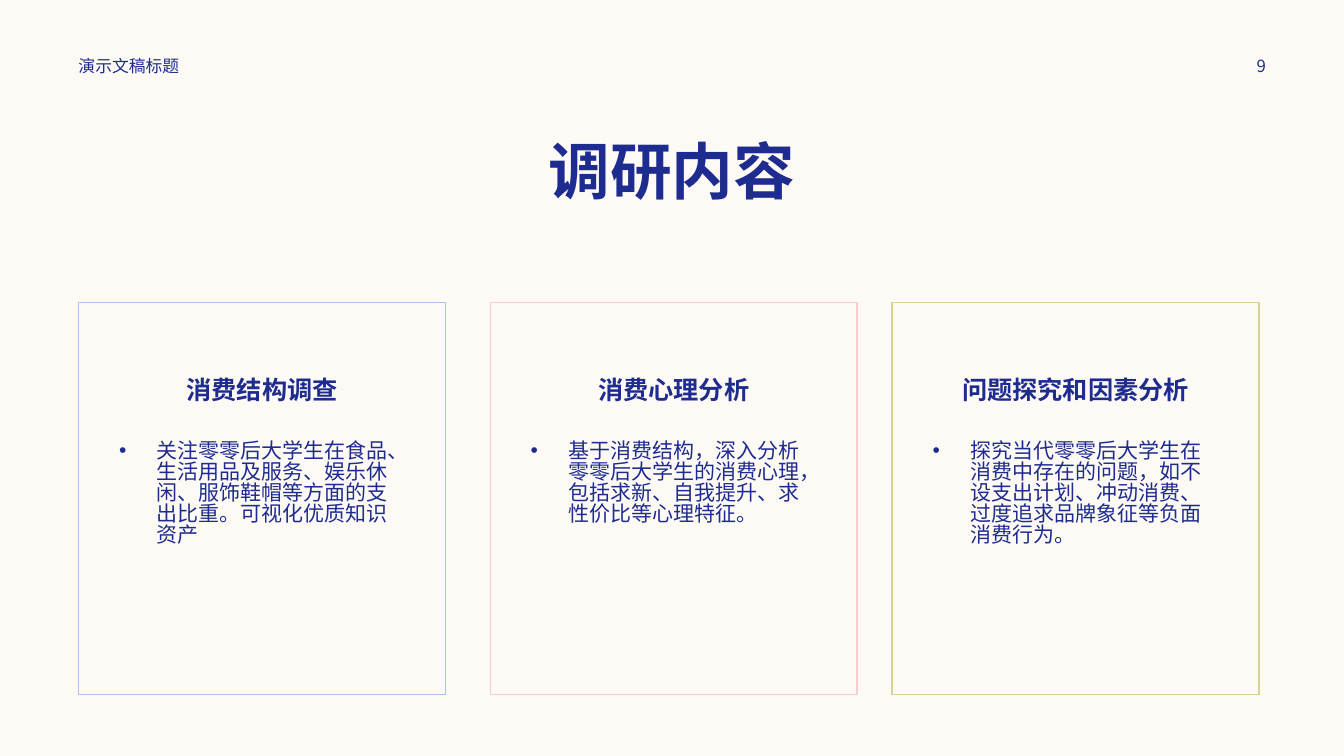
from pptx import Presentation
from pptx.dml.color import RGBColor
from pptx.enum.shapes import MSO_SHAPE
from pptx.enum.text import MSO_ANCHOR, PP_ALIGN
from pptx.oxml.ns import qn
from pptx.util import Pt
from lxml.etree import SubElement

FONT = "Noto Sans CJK SC"
CREAM = RGBColor(0xFD, 0xFA, 0xF6)
NAVY = RGBColor(0x1F, 0x2C, 0x8F)
BLUE = RGBColor(0xAA, 0xC3, 0xE8)
PINK = RGBColor(0xF5, 0xCD, 0xCE)
GREEN = RGBColor(0xD2, 0xD5, 0x92)

CARDS = [
    (56.2, BLUE, "消费结构调查",
     "关注零零后大学生在食品、生活用品及服务、娱乐休闲、服饰鞋帽等方面的支出比重。可视化优质知识资产"),
    (350.2, PINK, "消费心理分析",
     "基于消费结构，深入分析零零后大学生的消费心理，包括求新、自我提升、求性价比等心理特征。"),
    (637.2, GREEN, "问题探究和因素分析",
     "探究当代零零后大学生在消费中存在的问题，如不设支出计划、冲动消费、过度追求品牌象征等负面消费行为。"),
]


def write(shape, text, size, bold=False, align=PP_ALIGN.LEFT,
          anchor=MSO_ANCHOR.TOP, pitch=0.9):
    frame = shape.text_frame
    frame.word_wrap = True
    frame.vertical_anchor = anchor
    frame.text = text
    para = frame.paragraphs[0]
    para.alignment = align
    para.line_spacing = pitch
    for run in para.runs:
        run.font.size = Pt(size)
        run.font.bold = bold
        run.font.name = FONT
        run.font.color.rgb = NAVY
        SubElement(run.font._element, qn("a:ea")).set("typeface", FONT)
    return para


def add_text(slide, left, top, width, height, text, size, **style):
    box = slide.shapes.add_textbox(Pt(left), Pt(top), Pt(width), Pt(height))
    return write(box, text, size, **style)


def add_bullet(para):
    props = para._p.get_or_add_pPr()
    props.set("marL", str(Pt(27)))
    props.set("indent", str(-Pt(27)))
    SubElement(props, qn("a:buFont")).set("typeface", "Arial")
    SubElement(props, qn("a:buChar")).set("char", "•")


def add_card(slide, left, color, head, body):
    card = slide.shapes.add_shape(
        MSO_SHAPE.RECTANGLE, Pt(left), Pt(216), Pt(262), Pt(280))
    card.shadow.inherit = False
    card.fill.background()
    card.line.color.rgb = color
    card.line.width = Pt(1)
    card.text_frame.margin_top = Pt(54)
    write(card, head, 18, bold=True, align=PP_ALIGN.CENTER)
    para = add_text(slide, left + 21.8, 312, 218, 173.5, body, 15, pitch=0.83)
    add_bullet(para)


def main():
    deck = Presentation()
    deck.slide_width, deck.slide_height = Pt(960), Pt(540)
    slide = deck.slides.add_slide(deck.slide_layouts[6])
    slide.background.fill.solid()
    slide.background.fill.fore_color.rgb = CREAM
    add_text(slide, 60, 97.2, 840, 60.5, "调研内容", 44,
             bold=True, align=PP_ALIGN.CENTER)
    add_text(slide, 49, 36, 252, 21.6, "演示文稿标题", 12,
             anchor=MSO_ANCHOR.MIDDLE, pitch=1.0)
    add_text(slide, 862, 36, 77.8, 21.6, "9", 12, align=PP_ALIGN.CENTER,
             anchor=MSO_ANCHOR.MIDDLE, pitch=1.0)
    for card in CARDS:
        add_card(slide, *card)
    deck.save("out.pptx")


if __name__ == "__main__":
    main()
